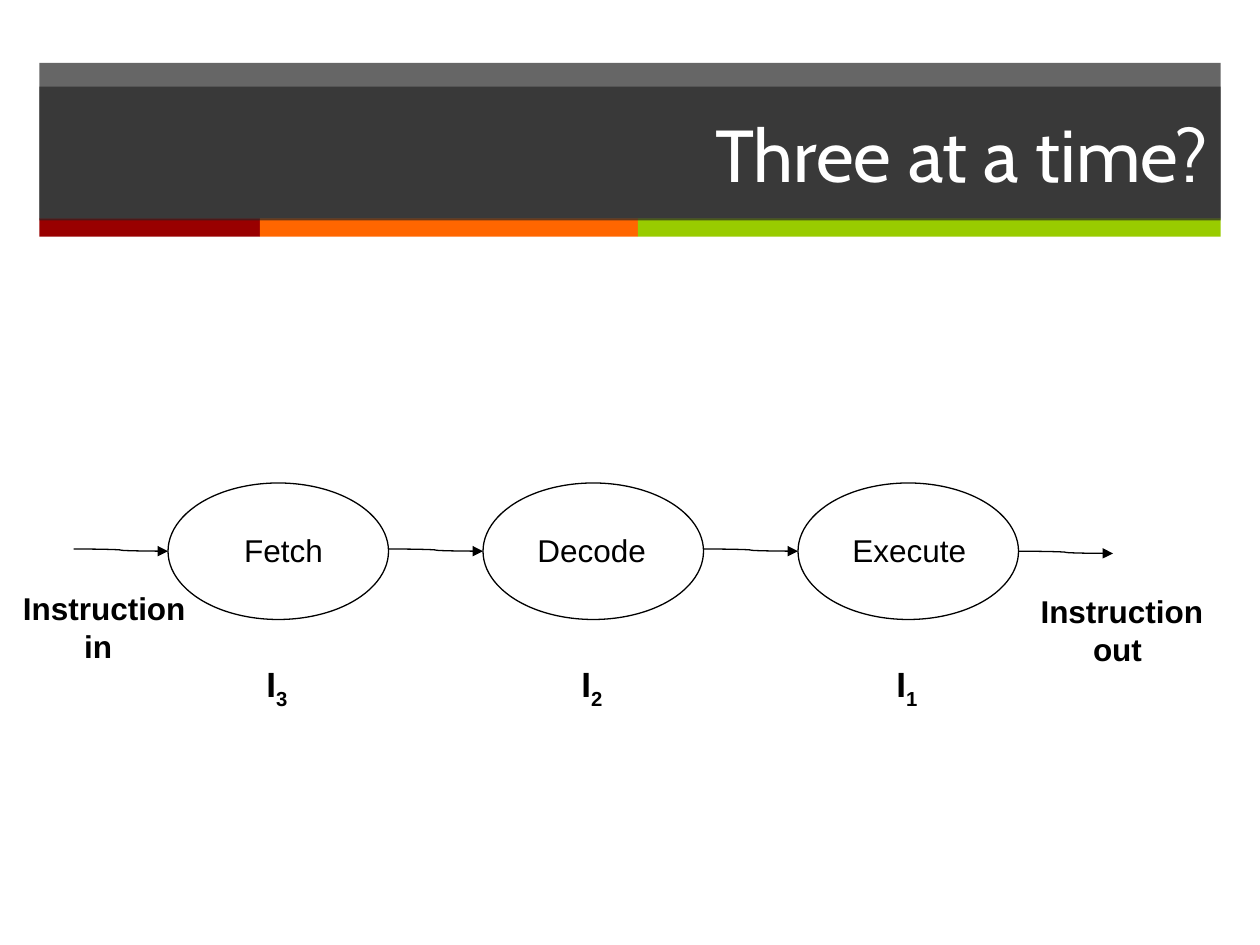
from pptx import Presentation
from pptx.dml.color import RGBColor
from pptx.enum.shapes import MSO_CONNECTOR, MSO_SHAPE
from pptx.enum.text import MSO_ANCHOR, PP_ALIGN
from pptx.oxml.ns import qn
from pptx.util import Pt
from lxml.etree import SubElement

HUES = {"dark": "262626", "red": "990000", "orange": "FF6600",
        "green": "99CC00", "black": "000000", "white": "FFFFFF"}


def tint(name):
    return RGBColor.from_string(HUES[name])


def write(frame, text, size=18, font="Arial", hue="black", bold=False,
          align=PP_ALIGN.LEFT, anchor=MSO_ANCHOR.TOP, wrap=True, sub="", inset=0):
    frame.word_wrap = wrap
    frame.vertical_anchor = anchor
    for i, line in enumerate(text.split("\n")):
        para = frame.paragraphs[0] if i == 0 else frame.add_paragraph()
        para.alignment = align
        if i and inset:
            para._p.get_or_add_pPr().set("marL", str(Pt(inset)))
        for part in filter(None, (line, sub)):
            run = para.add_run()
            run.text = part
            run.font.size = Pt(size)
            run.font.name = font
            run.font.bold = bold
            run.font.color.rgb = tint(hue)
            if part == sub:
                run.font._element.set("baseline", "-25000")


class Board:
    def __init__(self, slide, ink="black", width=0.75):
        self.slide = slide
        self.ink = ink
        self.width = width

    def shape(self, kind, box):
        item = self.slide.shapes.add_shape(kind, *map(Pt, box))
        item.shadow.inherit = False
        return item

    def block(self, box, hue, alpha=None):
        item = self.shape(MSO_SHAPE.RECTANGLE, box)
        item.fill.solid()
        item.fill.fore_color.rgb = tint(hue)
        item.line.fill.background()
        if alpha:
            color = item.fill._xPr.find(qn("a:solidFill"))[0]
            SubElement(color, qn("a:alpha")).set("val", str(alpha * 1000))
        return item

    def oval(self, box):
        item = self.shape(MSO_SHAPE.OVAL, box)
        item.fill.background()
        item.line.color.rgb = tint(self.ink)
        item.line.width = Pt(self.width)

    def label(self, box, text, **form):
        item = self.slide.shapes.add_textbox(*map(Pt, box))
        write(item.text_frame, text, wrap=False, **form)

    def arrow(self, x, y, end, drop):
        item = self.slide.shapes.add_connector(
            MSO_CONNECTOR.CURVE, Pt(x), Pt(y), Pt(end), Pt(drop))
        item.line.color.rgb = tint(self.ink)
        item.line.width = Pt(self.width)
        SubElement(item.line._get_or_add_ln(), qn("a:tailEnd")).set("type", "triangle")
        SubElement(item._element.spPr, qn("a:effectLst"))


def main():
    deck = Presentation()
    deck.slide_width, deck.slide_height = Pt(720), Pt(540)
    board = Board(deck.slides.add_slide(deck.slide_layouts[6]))

    left = 22.5
    board.block((left, 36, 675, 89), "dark", 70)
    x = left
    for hue, width in (("red", 126), ("orange", 216), ("green", 333)):
        board.block((x, 124.8, width, 10.5), hue)
        x += width
    title = board.block((left, 49.5, 675, 76.5), "dark", 70)
    write(title.text_frame, "Three at a time?", size=42, font="Cabin", hue="white",
          align=PP_ALIGN.RIGHT, anchor=MSO_ANCHOR.MIDDLE)

    first, step, wide, gap = 96, 180, 126, 54
    stages = (("Fetch", 132.5, 59.8, "3"), ("Decode", 300, 76.3, "2"),
              ("Execute", 480, 79.2, "1"))
    for i, (name, x, width, num) in enumerate(stages):
        start = first + i * step
        board.oval((start, 276, wide, 78))
        board.label((x, 300, width, 29), name)
        board.arrow(start - gap, 313.75, start, 315)
        tag = board.block((start + 49.2, 375, 77, 59), "white")
        write(tag.text_frame, "I", size=20, bold=True, sub=num)
    end = first + 2 * step + wide
    board.arrow(end, 315, end + gap, 316.25)

    board.label((6, 333.3, 107.3, 50.4), "Instruction\nin", bold=True, inset=35)
    board.label((587.5, 334.6, 107.3, 50.4), "Instruction\nout", bold=True, inset=30)
    deck.save("out.pptx")


if __name__ == "__main__":
    main()
